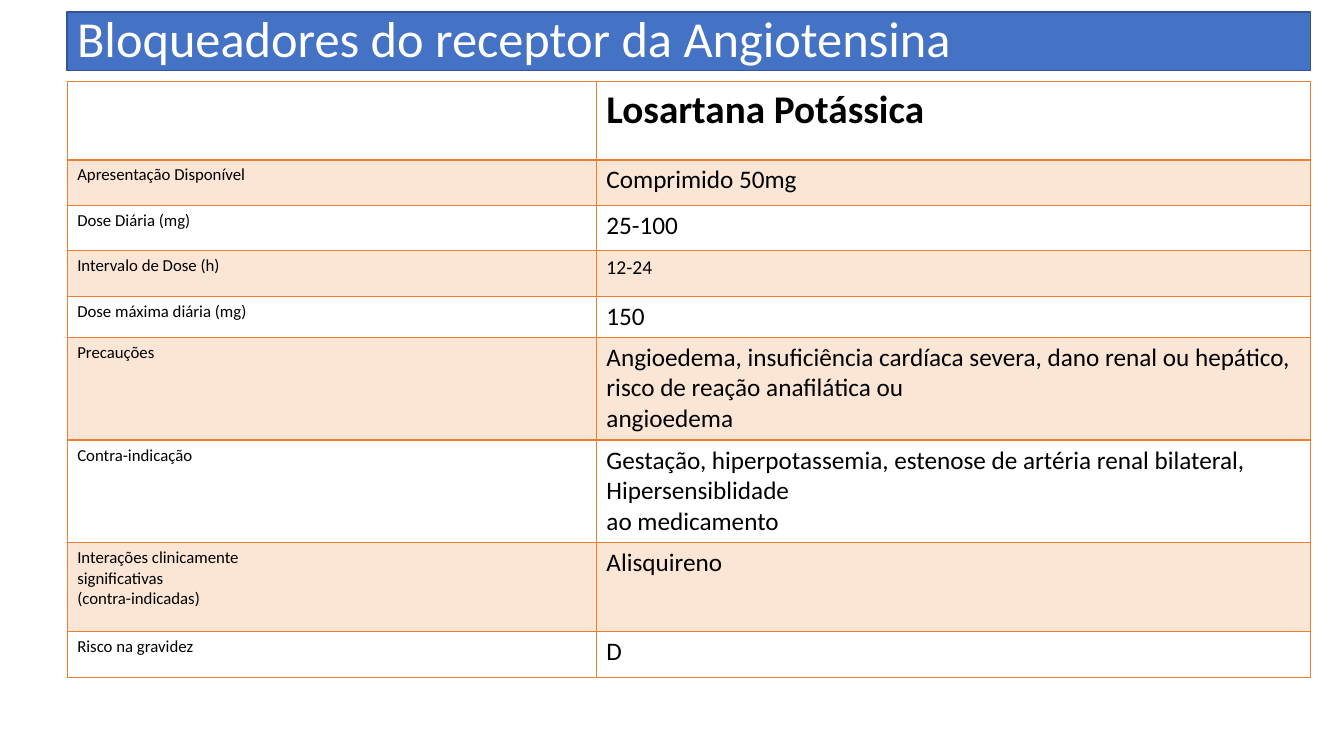
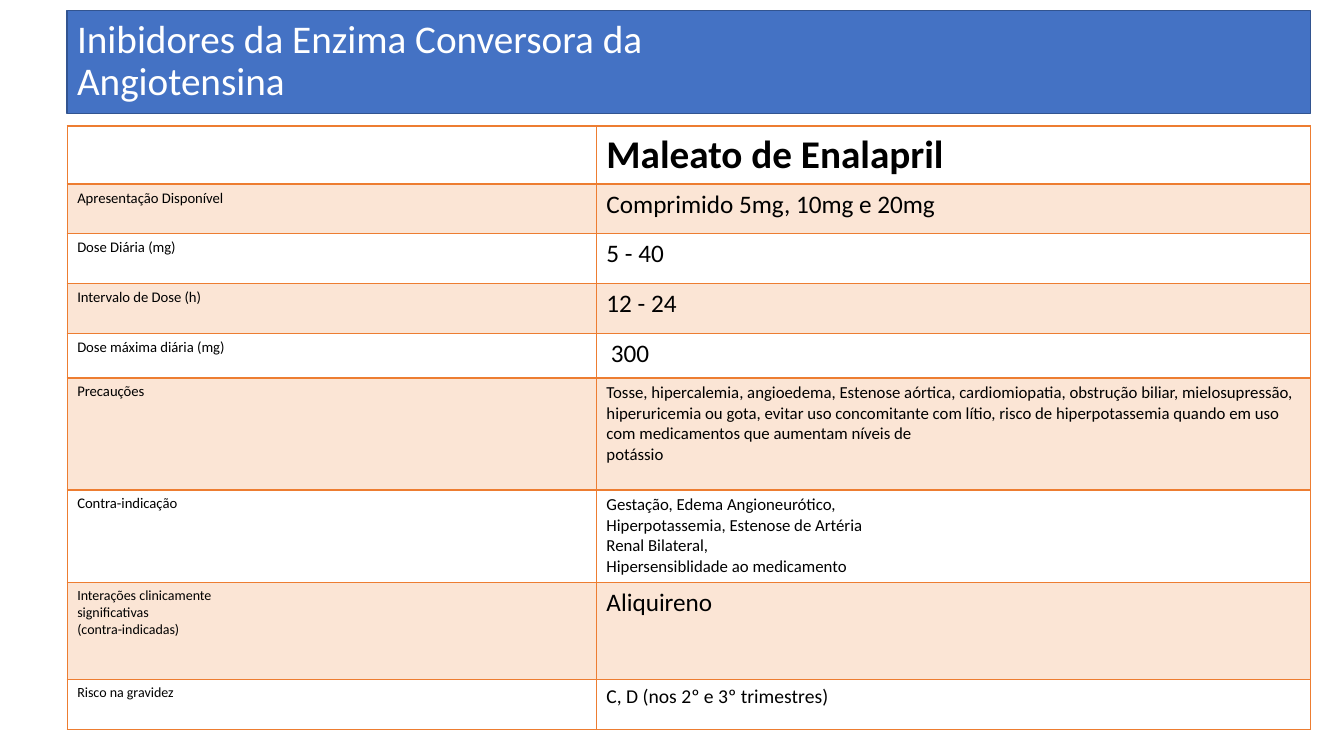
from dataclasses import dataclass

from lxml import etree
from pptx import Presentation
from pptx.dml.color import RGBColor
from pptx.enum.shapes import MSO_SHAPE
from pptx.enum.text import MSO_ANCHOR, PP_ALIGN
from pptx.oxml.ns import qn
from pptx.util import Pt

RECTANGLE = MSO_SHAPE.RECTANGLE
MIDDLE = MSO_ANCHOR.MIDDLE
LEFT = PP_ALIGN.LEFT
BLANK_LAYOUT = 6


@dataclass(frozen=True)
class Theme:
    font: str = "Calibri"
    white: str = "FFFFFF"
    black: str = "000000"
    band: str = "4472C4"
    band_line: str = "325490"
    accent: str = "ED7D31"
    stripe_opacity: int = 20
    thin: float = 0.96
    thick: float = 1.98
    one_line_title_size: float = 36
    two_line_title_size: float = 28
    drug_size: float = 28
    value_size: float = 18
    medium_size: float = 14
    small_size: float = 12
    label_size: float = 10.5
    small_label_size: float = 10


THEME = Theme()
MARGIN = 48
COLUMN_WIDTHS = (378, 510)
CONTENT_WIDTH = sum(COLUMN_WIDTHS)

ROW_LABELS = (
    ["Apresentação Disponível"],
    ["Dose Diária (mg)"],
    ["Intervalo de Dose (h)"],
    ["Dose máxima diária (mg)"],
    ["Precauções"],
    ["Contra-indicação"],
    ["Interações clinicamente", "significativas", "(contra-indicadas)"],
    ["Risco na gravidez"],
)


@dataclass(frozen=True)
class Value:
    lines: tuple
    size: float = THEME.value_size
    indent: float = 0


@dataclass(frozen=True)
class DrugSheet:
    title_lines: tuple
    title_size: float
    band_top: float
    band_height: float
    table_top: float
    row_heights: tuple
    label_sizes: tuple
    drug: str
    values: tuple


SHEETS = (
    DrugSheet(
        title_lines=("Bloqueadores do receptor da Angiotensina",),
        title_size=THEME.one_line_title_size,
        band_top=8.5,
        band_height=42,
        table_top=58.2,
        row_heights=(56, 32.5, 32.5, 32.5, 29, 73.5, 73.5, 63.5, 32.5),
        label_sizes=(THEME.small_size,) * 8,
        drug="Losartana Potássica",
        values=(
            Value(("Comprimido 50mg",)),
            Value(("25-100",)),
            Value(("12-24",), THEME.medium_size),
            Value(("150",)),
            Value(("Angioedema, insuficiência cardíaca severa, dano renal ou "
                   "hepático, risco de reação anafilática ou",
                   "angioedema")),
            Value(("Gestação, hiperpotassemia, estenose de artéria renal "
                   "bilateral, Hipersensiblidade",
                   "ao medicamento")),
            Value(("Alisquireno",)),
            Value(("D",)),
        ),
    ),
    DrugSheet(
        title_lines=("Inibidores da Enzima Conversora da", "Angiotensina"),
        title_size=THEME.two_line_title_size,
        band_top=7.5,
        band_height=73.5,
        table_top=90,
        row_heights=(41.5, 35.5, 35.5, 35.5, 32, 80, 66, 69.5, 35.5),
        label_sizes=(THEME.label_size,) * 6 + (THEME.small_label_size,) * 2,
        drug="Maleato de Enalapril",
        values=(
            Value(("Comprimido 5mg, 10mg e 20mg",)),
            Value(("5 - 40",)),
            Value(("12 - 24",)),
            Value(("300",), indent=3.2),
            Value(("Tosse, hipercalemia, angioedema, Estenose aórtica, "
                   "cardiomiopatia, obstrução biliar, mielosupressão, "
                   "hiperuricemia ou gota, evitar uso concomitante com lítio, "
                   "risco de hiperpotassemia quando em uso com medicamentos "
                   "que aumentam níveis de",
                   "potássio"), THEME.small_size),
            Value(("Gestação, Edema Angioneurótico,",
                   "Hiperpotassemia, Estenose de Artéria",
                   "Renal Bilateral,",
                   "Hipersensiblidade ao medicamento"), THEME.small_size),
            Value(("Aliquireno",)),
            Value(("C, D (nos 2º e 3º trimestres)",), THEME.medium_size),
        ),
    ),
)


class Deck:
    def __init__(self, theme):
        self.theme = theme
        self.presentation = Presentation()
        self.presentation.slide_width = Pt(960)
        self.presentation.slide_height = Pt(540)
        self.slide = None

    def add_slide(self):
        layout = self.presentation.slide_layouts[BLANK_LAYOUT]
        self.slide = self.presentation.slides.add_slide(layout)

    def add_run(self, paragraph, text, size, color, bold=False):
        run = paragraph.add_run()
        run.text = text
        run.font.name = self.theme.font
        run.font.size = Pt(size)
        run.font.bold = bold
        run.font.color.rgb = RGBColor.from_string(color)

    def add_title_band(self, lines, size, top, height):
        shape = self.slide.shapes.add_shape(
            RECTANGLE, Pt(MARGIN), Pt(top), Pt(CONTENT_WIDTH), Pt(height))
        shape.shadow.inherit = False
        shape.fill.solid()
        shape.fill.fore_color.rgb = RGBColor.from_string(self.theme.band)
        shape.line.color.rgb = RGBColor.from_string(self.theme.band_line)
        shape.line.width = Pt(1)
        frame = shape.text_frame
        frame.word_wrap = True
        frame.vertical_anchor = MIDDLE
        frame.margin_top = frame.margin_bottom = Pt(0)
        paragraph = frame.paragraphs[0]
        paragraph.alignment = LEFT
        paragraph.line_spacing = 0.9
        for index, line in enumerate(lines):
            if index:
                paragraph.add_line_break()
            self.add_run(paragraph, line, size, self.theme.white)

    def write_cell(self, cell, lines, size, bold=False):
        frame = cell.text_frame
        for index, line in enumerate(lines):
            paragraph = frame.add_paragraph() if index else frame.paragraphs[0]
            self.add_run(paragraph, line, size, self.theme.black, bold)

    def style_cell(self, cell, row):
        """Draw the borders, then tint every odd row."""
        properties = cell._tc.get_or_add_tcPr()
        top = self.theme.thick if row == 1 else self.theme.thin
        bottom = self.theme.thick if row == 0 else self.theme.thin
        widths = {"a:lnL": self.theme.thin, "a:lnR": self.theme.thin,
                  "a:lnT": top, "a:lnB": bottom}
        for tag, width in widths.items():
            line = etree.SubElement(properties, qn(tag), w=str(Pt(width)))
            fill = etree.SubElement(line, qn("a:solidFill"))
            etree.SubElement(fill, qn("a:srgbClr"), val=self.theme.accent)
        if row % 2 == 0:
            cell.fill.background()
            return
        cell.fill.solid()
        cell.fill.fore_color.rgb = RGBColor.from_string(self.theme.accent)
        color = properties.find(qn("a:solidFill")).find(qn("a:srgbClr"))
        etree.SubElement(color, qn("a:alpha"),
                         val=str(self.theme.stripe_opacity * 1000))

    def add_drug_table(self, sheet):
        heights = sheet.row_heights
        table = self.slide.shapes.add_table(
            len(heights), len(COLUMN_WIDTHS), Pt(MARGIN), Pt(sheet.table_top),
            Pt(CONTENT_WIDTH), Pt(sum(heights))).table
        table.first_row = False
        table.horz_banding = False
        for column, width in zip(table.columns, COLUMN_WIDTHS):
            column.width = Pt(width)
        for index, height in enumerate(heights):
            table.rows[index].height = Pt(height)
            for cell in table.rows[index].cells:
                self.style_cell(cell, index)
        self.write_cell(table.cell(0, 1), [sheet.drug],
                        self.theme.drug_size, bold=True)
        rows = zip(ROW_LABELS, sheet.label_sizes, sheet.values)
        for index, (label, label_size, value) in enumerate(rows, start=1):
            self.write_cell(table.cell(index, 0), label, label_size)
            value_cell = table.cell(index, 1)
            self.write_cell(value_cell, value.lines, value.size)
            if value.indent:
                value_cell.margin_left = Pt(7.2 + value.indent)


def main():
    deck = Deck(THEME)
    for sheet in SHEETS:
        deck.add_slide()
        deck.add_title_band(sheet.title_lines, sheet.title_size,
                            sheet.band_top, sheet.band_height)
        deck.add_drug_table(sheet)
    deck.presentation.save("out.pptx")


if __name__ == "__main__":
    main()
